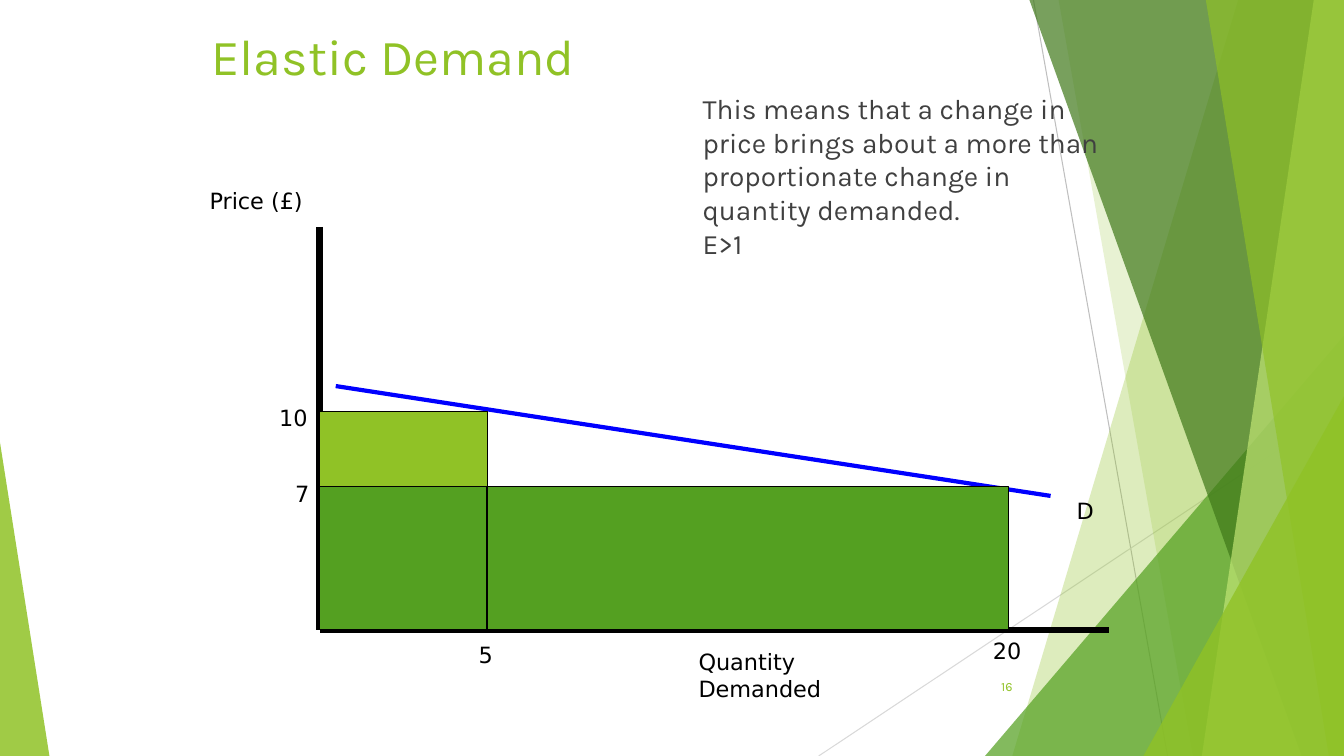
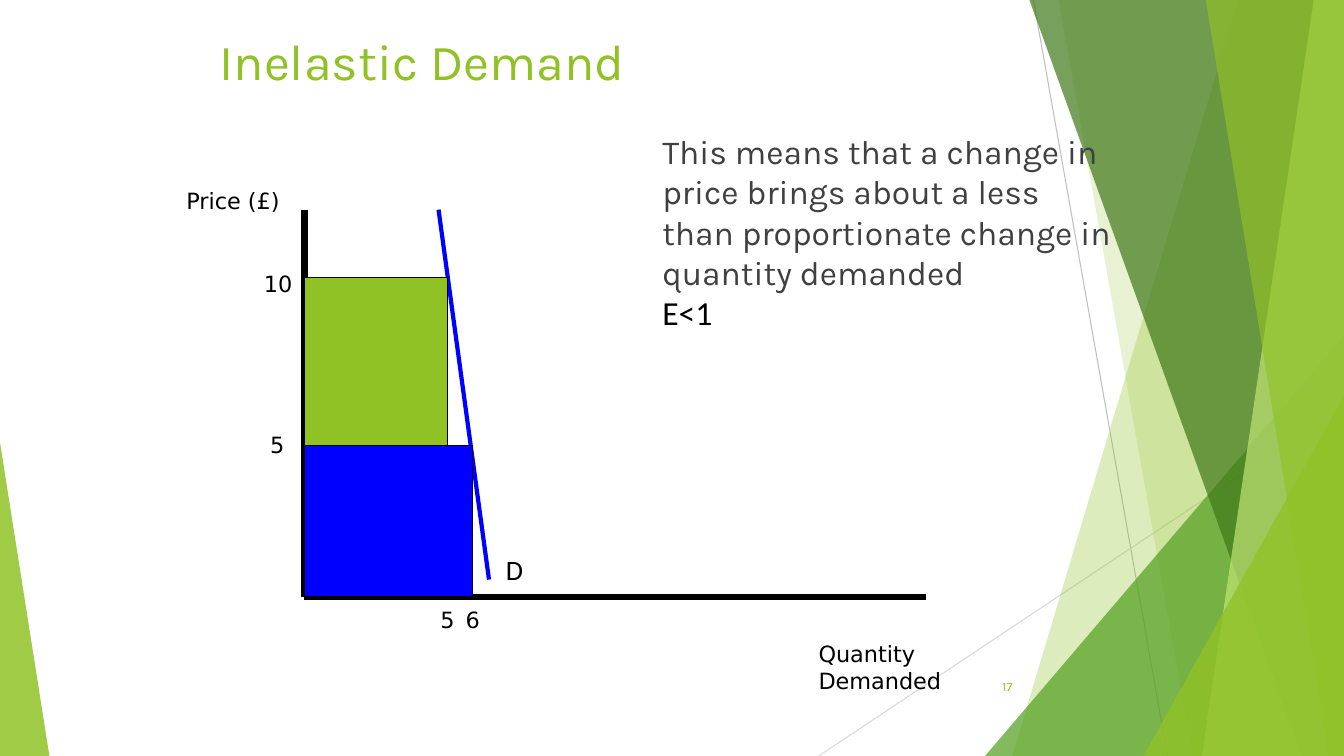
import pptx
import pptx.dml.color
import pptx.enum.shapes
import pptx.enum.text
import pptx.oxml.ns
import pptx.util
from dataclasses import dataclass
from lxml import etree

Inches = pptx.util.Inches
SHAPE = pptx.enum.shapes.MSO_SHAPE
ALIGN = pptx.enum.text.PP_ALIGN
ANCHOR = pptx.enum.text.MSO_ANCHOR


@dataclass(frozen=True)
class Theme:
    lime: str = "90C226"
    green: str = "54A021"
    forest: str = "3F7819"
    pale: str = "C0E474"
    blue: str = "0000FF"
    ink: str = "000000"
    body: str = "404040"
    heading_font: str = "Karla"
    label_font: str = "DejaVu Sans"
    note_font: str = "Calibri"
    title_size: int = 36
    label_size: int = 16
    number_size: int = 9
    axis_width: float = 4.5
    demand_width: float = 3
    outline_width: float = 0.75


theme = Theme()
WIDTH, HEIGHT = 13.33, 7.5

background_lines = [
    ((10.25, 0), (11.58, HEIGHT), "BFBFBF"),
    ((WIDTH, 4.03), (8.12, HEIGHT), "D9D9D9"),
]
# Slabs run from a top x and a bottom x to the right edge;
# triangles stand on the bottom edge: left, width, height, apex.
facets = [
    ("slab", (12.28, 10.04), theme.lime, 30),
    ("slab", (10.5, 11.83), theme.lime, 20),
    ("triangle", (9.77, 3.56, 4.17, 1), theme.green, 72),
    ("slab", (10.21, 12.91), theme.forest, 70),
    ("slab", (13.03, 11.92), theme.pale, 70),
    ("slab", (11.96, 13.18), theme.lime, 65),
    ("triangle", (11.34, 1.99, 3.57, 1), theme.lime, 80),
    ("triangle", (0, 0.49, 3.11, 0), theme.lime, 85),
]

label_style = (theme.label_font, theme.label_size, theme.ink)
slides = [
    {
        "title": ("Elastic Demand", 2, 0.2),
        "number": "16",
        "origin": (3.17, 6.25), "axis_top": 2.25, "axis_right": 11,
        "demand": ((3.33, 3.83), (10.42, 4.92)),
        "areas": [(1.67, 2.17, theme.lime), (6.83, 1.42, theme.green)],
        "dividers": [((4.83, 4.83), (4.83, 6.25))],
        "labels": [
            ("Price (£)", 1.98, 1.81, 1.4, label_style),
            ("Quantity Demanded", 6.83, 6.38, 1.6, label_style),
            ("D", 10.58, 4.88, 0.6, label_style),
            ("10", 2.67, 3.96, 0.6, label_style),
            ("7", 2.83, 4.71, 0.6, label_style),
            ("5", 4.65, 6.31, 0.6, label_style),
            ("20", 9.75, 6.27, 0.6, label_style),
        ],
        "body_box": (6.87, 0.86, 4.26, 1.78),
        "body": [
            ("This means that a change in price brings about a more than "
             "proportionate change in quantity demanded.",
             (theme.heading_font, 20, theme.body)),
            ("E>1", (theme.heading_font, 20, theme.body)),
        ],
    },
    {
        "title": ("Inelastic Demand", 2.08, 0.25),
        "number": "17",
        "origin": (3.02, 5.92), "axis_top": 2.08, "axis_right": 9.18,
        "demand": ((4.35, 2.08), (4.85, 5.75)),
        "areas": [(1.42, 3.17, theme.lime), (1.67, 1.5, theme.blue)],
        "dividers": [],
        "labels": [
            ("Price (£)", 1.75, 1.81, 1.4, label_style),
            ("Quantity Demanded", 8.02, 6.3, 1.6, label_style),
            ("D", 4.92, 5.43, 0.6, (theme.note_font, 20, theme.ink)),
            ("10", 2.52, 2.63, 0.6, label_style),
            ("5", 2.58, 4.23, 0.6, label_style),
            ("5", 4.27, 5.96, 0.6, label_style),
            ("6", 4.52, 5.96, 0.6, label_style),
        ],
        "body_box": (6.47, 1.25, 4.65, 2.12),
        "body": [
            ("This means that a change in price brings about a less than "
             "proportionate change in quantity demanded",
             (theme.heading_font, 24, theme.body)),
            ("E<1", (theme.note_font, 24, theme.ink)),
        ],
    },
]


def add_text(s, box, paragraphs, align=ALIGN.LEFT, anchor=ANCHOR.TOP):
    """Add a wrapping text box; paragraphs are (text, (font, size, colour))."""
    tf = s.shapes.add_textbox(*map(Inches, box)).text_frame
    tf.word_wrap = True
    tf.vertical_anchor = anchor
    for i, (text, (font, size, colour)) in enumerate(paragraphs):
        p = tf.add_paragraph() if i else tf.paragraphs[0]
        p.text = text
        p.alignment = align
        r = p.runs[0]
        r.font.name = font
        r.font.size = pptx.util.Pt(size)
        r.font.color.rgb = pptx.dml.color.RGBColor.from_string(colour)


def add_line(s, start, end, colour, width):
    line = s.shapes.add_connector(
        pptx.enum.shapes.MSO_CONNECTOR.STRAIGHT, *map(Inches, (*start, *end)))
    line.line.color.rgb = pptx.dml.color.RGBColor.from_string(colour)
    line.line.width = pptx.util.Pt(width)
    etree.SubElement(line._element.spPr, pptx.oxml.ns.qn("a:effectLst"))


prs = pptx.Presentation()
prs.slide_width = Inches(WIDTH)
prs.slide_height = Inches(HEIGHT)

for content in slides:
    s = prs.slides.add_slide(prs.slide_layouts[6])

    for start, end, colour in background_lines:
        add_line(s, start, end, colour, theme.outline_width)
    for kind, place, colour, opacity in facets:
        if kind == "slab":
            top_x, bottom_x = place
            outline = s.shapes.build_freeform(Inches(top_x), 0)
            outline.add_line_segments([
                (Inches(WIDTH), 0),
                (Inches(WIDTH), Inches(HEIGHT)),
                (Inches(bottom_x), Inches(HEIGHT)),
            ])
            sp = outline.convert_to_shape()
        else:
            left, width, height, apex = place
            sp = s.shapes.add_shape(
                SHAPE.ISOSCELES_TRIANGLE,
                *map(Inches, (left, HEIGHT - height, width, height)))
            sp.adjustments[0] = apex
        sp.shadow.inherit = False
        sp.line.fill.background()
        sp.fill.solid()
        sp.fill.fore_color.rgb = pptx.dml.color.RGBColor.from_string(colour)
        rgb = sp._element.spPr.find(".//" + pptx.oxml.ns.qn("a:srgbClr"))
        etree.SubElement(rgb, pptx.oxml.ns.qn("a:alpha"), val=str(opacity * 1000))

    title, left, top = content["title"]
    add_text(s, (left, top, 9, 1),
             [(title, (theme.heading_font, theme.title_size, theme.lime))])
    add_text(s, (9.39, 6.61, 0.75, 0.4),
             [(content["number"], (theme.heading_font, theme.number_size, theme.lime))],
             ALIGN.RIGHT, ANCHOR.MIDDLE)

    origin = content["origin"]
    x0, y0 = origin
    add_line(s, (x0, content["axis_top"]), origin, theme.ink, theme.axis_width)
    add_line(s, origin, (content["axis_right"], y0), theme.ink, theme.axis_width)
    add_line(s, *content["demand"], theme.blue, theme.demand_width)
    for width, height, colour in content["areas"]:
        sp = s.shapes.add_shape(
            SHAPE.RECTANGLE, *map(Inches, (x0, y0 - height, width, height)))
        sp.shadow.inherit = False
        sp.fill.solid()
        sp.fill.fore_color.rgb = pptx.dml.color.RGBColor.from_string(colour)
        sp.line.color.rgb = pptx.dml.color.RGBColor.from_string(theme.ink)
        sp.line.width = pptx.util.Pt(theme.outline_width)
    for start, end in content["dividers"]:
        add_line(s, start, end, theme.ink, 1)

    for text, left, top, width, style in content["labels"]:
        add_text(s, (left, top, width, 0.37), [(text, style)])
    add_text(s, content["body_box"], content["body"])

prs.save("out.pptx")
